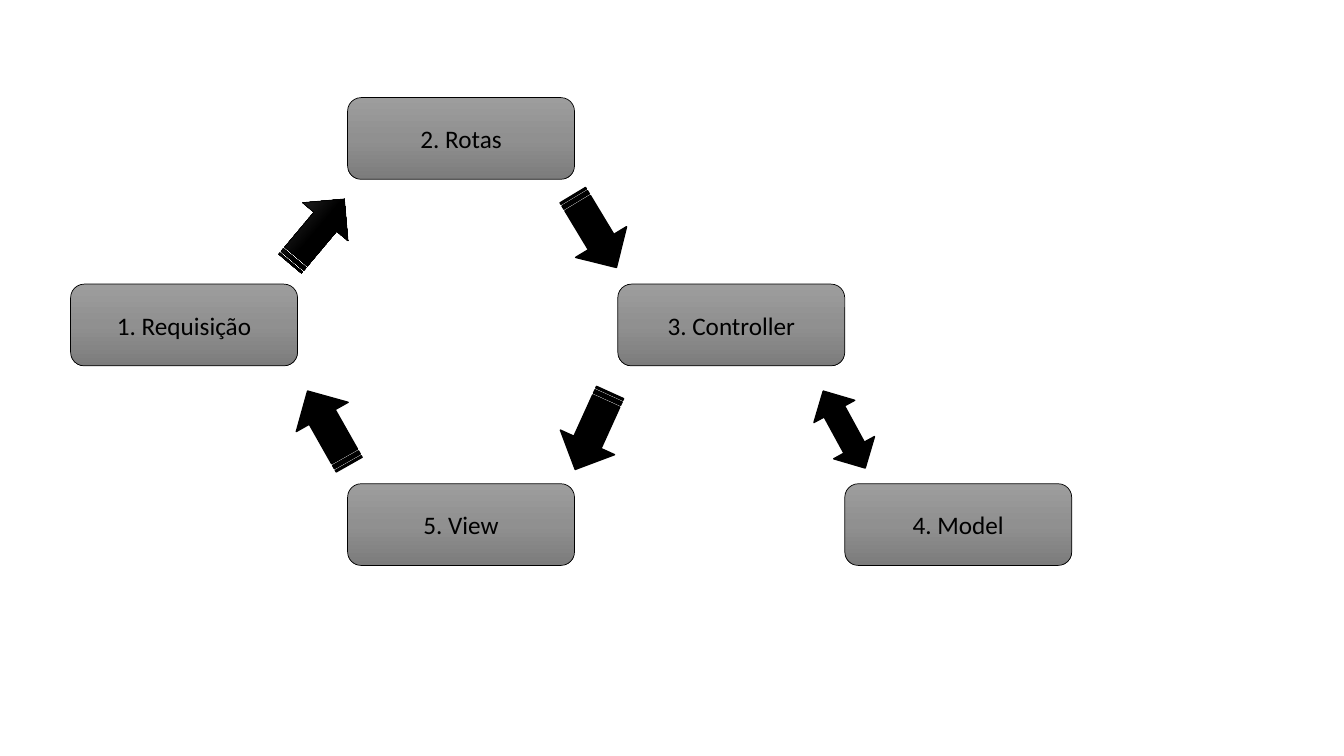
from copy import deepcopy

from pptx import Presentation
from pptx.dml.color import RGBColor
from pptx.enum.shapes import MSO_SHAPE
from pptx.enum.text import MSO_ANCHOR, PP_ALIGN
from pptx.oxml.ns import qn
from pptx.util import Cm, Pt

ROUNDED = MSO_SHAPE.ROUNDED_RECTANGLE
STRIPED_ARROW = MSO_SHAPE.STRIPED_RIGHT_ARROW
DOUBLE_ARROW = MSO_SHAPE.LEFT_RIGHT_ARROW
MIDDLE = MSO_ANCHOR.MIDDLE
CENTER = PP_ALIGN.CENTER

COLORS = {
    "black": "000000",
    "box_top": "9D9D9D",
    "box_middle": "909090",
    "box_bottom": "7C7C7C",
    "arrow_top": "4B4B4B",
}
BOX_GRADIENT = ("box_top", "box_middle", "box_bottom")
ARROW_GRADIENT = ("arrow_top", "black", "black")

# Lengths in centimetres
BOX_SIZE = (5.72, 2.06)
STRIPED_SIZE = (2.13, 1.5)
DOUBLE_SIZE = (2.21, 1.17)
CENTER_COLUMN = 8.76
MIDDLE_ROW, BOTTOM_ROW = 7.16, 12.19

STEPS = [
    ("2. Rotas", CENTER_COLUMN, 2.46),
    ("3. Controller", 15.57, MIDDLE_ROW),
    ("4. Model", 21.29, BOTTOM_ROW),
    ("5. View", CENTER_COLUMN, BOTTOM_ROW),
    ("1. Requisição", 1.78, MIDDLE_ROW),
]


def color(name):
    return RGBColor.from_string(COLORS[name])


def fill_gradient(shape, names):
    """Fill from top to bottom with three evenly spaced colours."""
    fill = shape.fill
    fill.gradient()
    fill.gradient_angle = 270
    stop_list = shape._element.spPr.find(qn("a:gradFill")).find(qn("a:gsLst"))
    stop_list.insert(1, deepcopy(stop_list[0]))
    for index, (stop, name) in enumerate(zip(fill.gradient_stops, names)):
        stop.position = index / 2
        stop.color.rgb = color(name)


def add_shape(slide, kind, left, top, size, gradient=None, line_width=1.0):
    width, height = size
    shape = slide.shapes.add_shape(kind, Cm(left), Cm(top), Cm(width), Cm(height))
    shape.shadow.inherit = False
    shape.line.color.rgb = color("black")
    shape.line.width = Pt(line_width)
    if gradient:
        fill_gradient(shape, gradient)
    else:
        shape.fill.solid()
        shape.fill.fore_color.rgb = color("black")
    return shape


def write_text(shape, text, *, size=18, font="Calibri", text_color="black",
               align=CENTER, anchor=MIDDLE):
    frame = shape.text_frame
    frame.word_wrap = True
    frame.vertical_anchor = anchor
    paragraph = frame.paragraphs[0]
    paragraph.alignment = align
    run = paragraph.add_run()
    run.text = text
    run.font.size = Pt(size)
    run.font.name = font
    run.font.color.rgb = color(text_color)


def add_step(slide, text, left, top):
    box = add_shape(slide, ROUNDED, left, top, BOX_SIZE, BOX_GRADIENT, 0.5)
    write_text(box, text)


def add_arrow(slide, left, top, rotation, kind=STRIPED_ARROW, size=STRIPED_SIZE,
              **style):
    arrow = add_shape(slide, kind, left, top, size, **style)
    arrow.rotation = rotation


def main():
    presentation = Presentation()
    presentation.slide_width = Cm(33.87)
    presentation.slide_height = Cm(19.05)
    slide = presentation.slides.add_slide(presentation.slide_layouts[6])

    # Steps of the request cycle
    for text, left, top in STEPS:
        add_step(slide, text, left, top)

    # Arrows between the steps
    add_arrow(slide, 6.93, 5.08, 310, gradient=ARROW_GRADIENT, line_width=0.5)
    add_arrow(slide, 13.87, 10.11, 114.4)
    add_arrow(slide, 20.17, 10.24, 61.4, kind=DOUBLE_ARROW, size=DOUBLE_SIZE)
    add_arrow(slide, 7.21, 10.03, 240.5)
    add_arrow(slide, 13.92, 5.08, 58.9)

    presentation.save("out.pptx")


if __name__ == "__main__":
    main()
